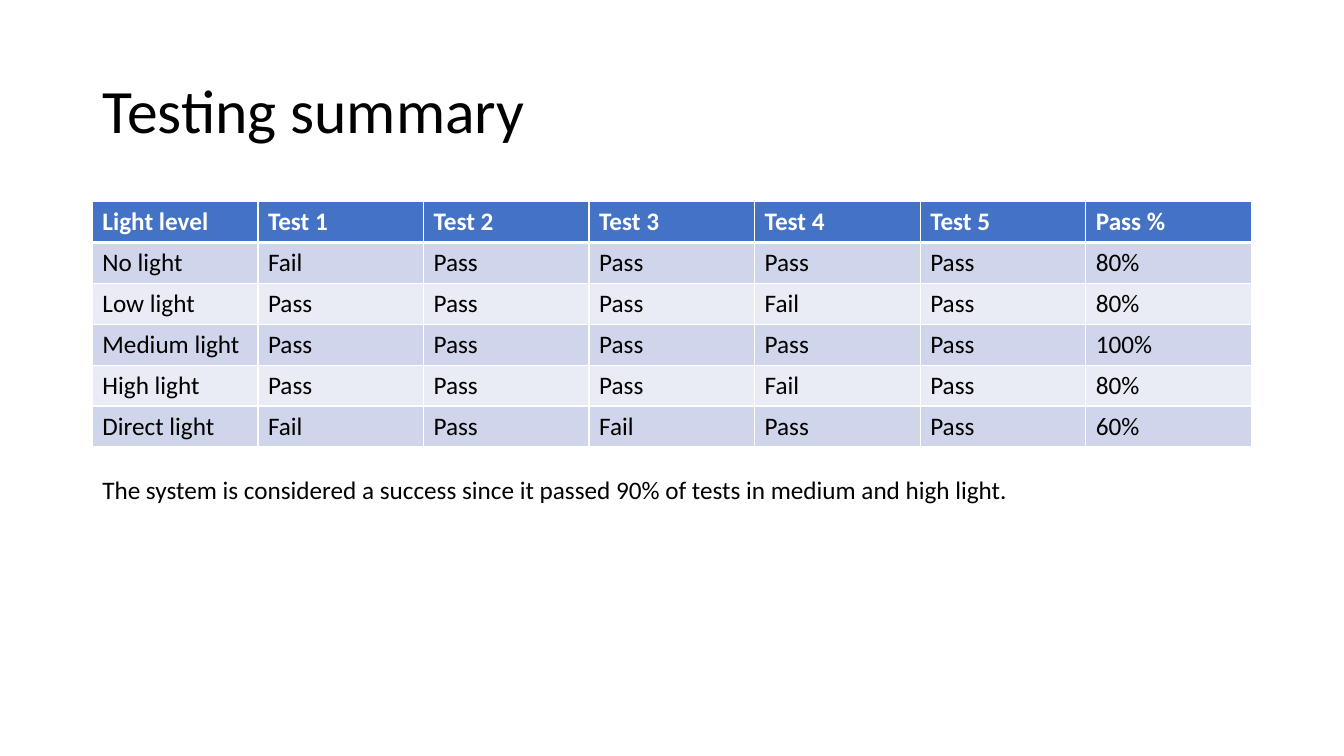
from pptx import Presentation
from pptx.dml.color import RGBColor as RGB
from pptx.enum.text import MSO_ANCHOR as Anchor, MSO_AUTO_SIZE as Fit
from pptx.oxml.ns import qn
from pptx.util import Pt
from lxml.etree import SubElement as Sub

FONT = "Calibri"
WHITE, BLACK = "FFFFFF", "000000"
HEAD, BANDS = "4472C4", ("E9EBF5", "CFD5EA")
LEFT, WIDTH = 66, 828
ROW = 29.2

TESTS = [
    ["Light level", "Test 1", "Test 2", "Test 3", "Test 4", "Test 5", "Pass %"],
    ["No light", "Fail", "Pass", "Pass", "Pass", "Pass", "80%"],
    ["Low light", "Pass", "Pass", "Pass", "Fail", "Pass", "80%"],
    ["Medium light", "Pass", "Pass", "Pass", "Pass", "Pass", "100%"],
    ["High light", "Pass", "Pass", "Pass", "Fail", "Pass", "80%"],
    ["Direct light", "Fail", "Pass", "Fail", "Pass", "Pass", "60%"],
]


def color(code):
    return RGB.from_string(code)


def write(frame, text, size, code=BLACK, bold=False):
    frame.text = text
    for run in frame.paragraphs[0].runs:
        font = run.font
        font.name, font.size, font.bold = FONT, Pt(size), bold
        font.color.rgb = color(code)


def add_title(slide, text):
    title = slide.shapes.title
    title.left, title.top = Pt(LEFT), Pt(28.75)
    title.width, title.height = Pt(WIDTH), Pt(104.4)
    frame = title.text_frame
    frame.vertical_anchor = Anchor.MIDDLE
    write(frame, text, 44)
    par = frame.paragraphs[0]
    par.alignment = 1
    par.line_spacing = 0.9


def add_edges(cell, row):
    # Edges go in the order left, right, top, bottom
    props = cell._tc.get_or_add_tcPr()
    sides = {"L": 1, "R": 1, "T": 3 if row == 1 else 1, "B": 3 if row == 0 else 1}
    for side, width in sides.items():
        line = Sub(props, qn(f"a:ln{side}"), w=str(Pt(width)))
        Sub(Sub(line, qn("a:solidFill")), qn("a:srgbClr"), val=WHITE)


def add_grid(slide, data, top):
    rows, cols = len(data), len(data[0])
    table = slide.shapes.add_table(
        rows, cols, Pt(LEFT), Pt(top), Pt(WIDTH), Pt(ROW * rows)).table
    for col in table.columns:
        col.width = Pt(WIDTH / cols)
    for r, items in enumerate(data):
        table.rows[r].height = Pt(ROW)
        head = r == 0
        for c, text in enumerate(items):
            cell = table.cell(r, c)
            write(cell.text_frame, text, 18, WHITE if head else BLACK, head)
            add_edges(cell, r)
            cell.fill.solid()
            cell.fill.fore_color.rgb = color(HEAD if head else BANDS[r % 2])


def add_note(slide, text, top):
    box = slide.shapes.add_textbox(Pt(LEFT), Pt(top), Pt(WIDTH), Pt(29))
    frame = box.text_frame
    frame.word_wrap = True
    frame.auto_size = Fit.SHAPE_TO_FIT_TEXT
    write(frame, text, 18)


def main():
    deck = Presentation()
    deck.slide_width, deck.slide_height = Pt(960), Pt(540)
    slide = deck.slides.add_slide(deck.slide_layouts.get_by_name("Title Only"))

    # Heading, results and verdict
    add_title(slide, "Testing summary")
    add_grid(slide, TESTS, 144)
    add_note(slide, "The system is considered a success since it passed "
                    "90% of tests in medium and high light.", 335.5)
    deck.save("out.pptx")


if __name__ == "__main__":
    main()
